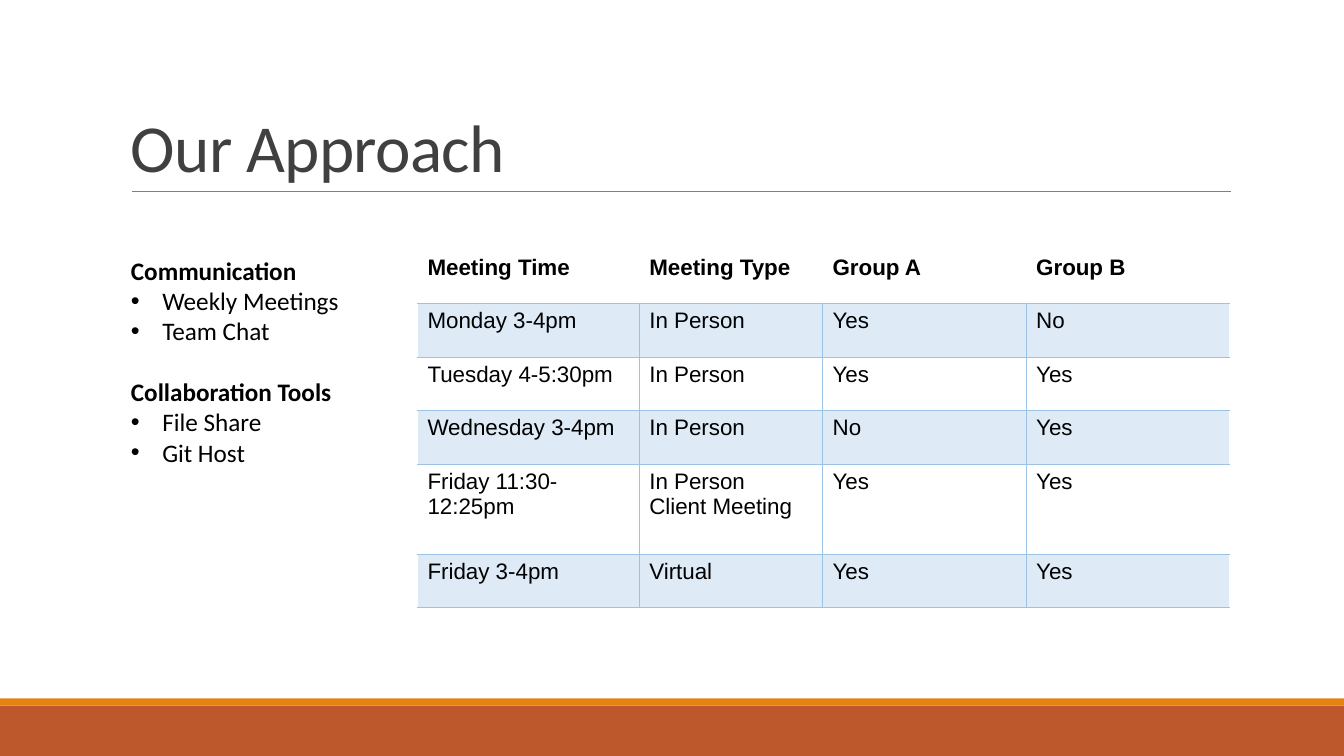
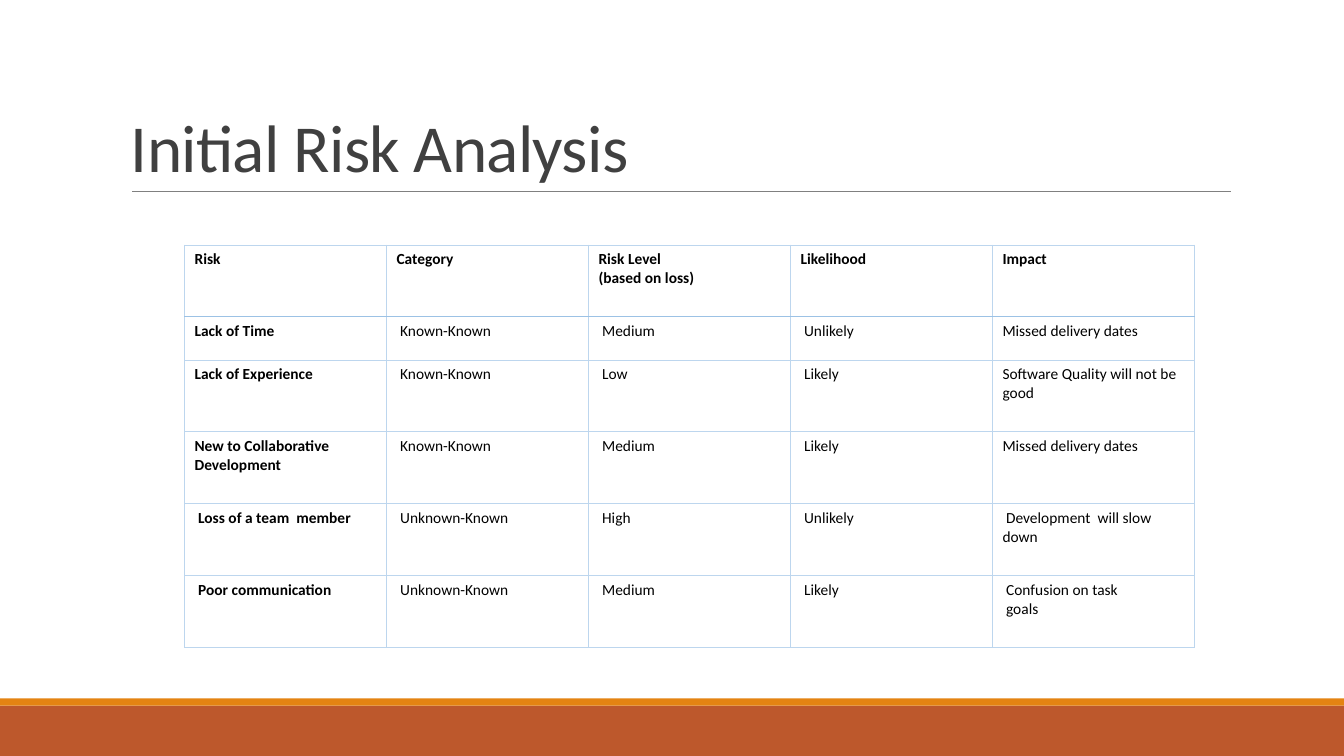
from lxml.etree import SubElement
from pptx import Presentation
from pptx.dml.color import RGBColor
from pptx.enum.shapes import MSO_CONNECTOR as CONN, MSO_SHAPE as SHAPE
from pptx.enum.text import MSO_ANCHOR as ANCHOR
from pptx.oxml.ns import qn
from pptx.util import Cm, Pt


def rgb(value):
    return RGBColor.from_string(value)


def write(tf, text, font="Calibri", size=18, color="000000", bold=False, new=False,
          bullet=False, indent=0, hang=0, before=0, leading=None, tracking=None):
    for i, line in enumerate(text.split("\n")):
        p = tf.add_paragraph() if new or i else tf.paragraphs[0]
        p.space_before = Pt(before)
        if leading:
            p.line_spacing = leading
        pPr = p._p.get_or_add_pPr()
        pPr.set("marL", str(Cm(hang)))
        pPr.set("indent", str(Cm(indent - hang)))
        if bullet:
            SubElement(pPr, qn("a:buFont"), typeface="Arial")
            SubElement(pPr, qn("a:buChar"), char="•")
        r = p.add_run()
        r.text = line
        r.font.name, r.font.size, r.font.bold = font, Pt(size), bold
        r.font.color.rgb = rgb(color)
        if tracking:
            r._r.get_or_add_rPr().set("spc", str(round(tracking * 100)))


def border(cell, sides):
    tcPr = cell._tc.get_or_add_tcPr()
    for side in "LRTB":
        if side in sides:
            color, width = sides[side]
            ln = SubElement(tcPr, qn("a:ln" + side), w=str(Pt(width)))
            SubElement(SubElement(ln, qn("a:solidFill")), qn("a:srgbClr"), val=color)


class Deck:
    """Holds the shared style and the slide being built."""

    WIDTH, HEIGHT = 33.87, 19.05
    RUST, ORANGE, RULE, TITLE = "BD582C", "E48312", "808080", "404040"
    BLUE, PALE, BAND, WHITE = "9CC2E5", "BDD6EE", "DEEAF6", "FFFFFF"

    def __init__(self):
        self.prs = Presentation()
        self.prs.slide_width, self.prs.slide_height = Cm(self.WIDTH), Cm(self.HEIGHT)

    def slide(self, title):
        self.s = self.prs.slides.add_slide(self.prs.slide_layouts[6])
        self.bar(17.78, 1.27, self.RUST)
        self.bar(17.6, 0.18, self.ORANGE)
        self.rule(3.33, 31.01, 4.83)
        tf = self.text(3.05, 0.79, 27.94, 4.04, ANCHOR.BOTTOM)
        write(tf, title, size=48, color=self.TITLE, leading=0.85, tracking=-0.5)

    def bar(self, y, h, color):
        sp = self.s.shapes.add_shape(SHAPE.RECTANGLE, 0, Cm(y), Cm(self.WIDTH), Cm(h))
        sp.shadow.inherit = False
        sp.fill.solid()
        sp.fill.fore_color.rgb = rgb(color)
        sp.line.fill.background()

    def rule(self, x1, x2, y):
        ln = self.s.shapes.add_connector(CONN.STRAIGHT, Cm(x1), Cm(y), Cm(x2), Cm(y))
        ln.line.color.rgb = rgb(self.RULE)
        ln.line.width = Pt(0.5)
        SubElement(ln._element.spPr, qn("a:effectLst"))

    def text(self, x, y, w, h, anchor=ANCHOR.TOP):
        tf = self.s.shapes.add_textbox(Cm(x), Cm(y), Cm(w), Cm(h)).text_frame
        tf.word_wrap = True
        tf.vertical_anchor = anchor
        return tf

    def table(self, x, y, cols, heights, rows, style):
        frame = self.s.shapes.add_table(len(rows), len(cols), Cm(x), Cm(y),
                                        Cm(sum(cols)), Cm(sum(heights)))
        tbl = frame.table
        tbl.first_row = tbl.horz_banding = False
        for col, w in zip(tbl.columns, cols):
            col.width = Cm(w)
        for r, (row, h) in enumerate(zip(rows, heights)):
            tbl.rows[r].height = Cm(h)
            for c, text in enumerate(row):
                cell = tbl.cell(r, c)
                fill, sides, fmt = style(r, c)
                border(cell, sides)
                cell.fill.solid()
                cell.fill.fore_color.rgb = rgb(fill)
                write(cell.text_frame, text, **fmt)


def meeting_style(r, c):
    thin, thick = (Deck.BLUE, 0.75), (Deck.BLUE, 1.5)
    sides = {"B": thin if r else thick}
    if r:
        sides["T"] = thick if r == 1 else thin
        if c > 0:
            sides["L"] = thin
        if c < 3:
            sides["R"] = thin
    fill = Deck.BAND if r % 2 else Deck.WHITE
    return fill, sides, dict(font="Arial", size=16, bold=r == 0)


def risk_style(r, c):
    thin, thick = (Deck.PALE, 0.6), (Deck.BLUE, 1.2)
    sides = dict.fromkeys("LRTB", thin)
    if r < 2:
        sides["T" if r else "B"] = thick
    indented = r > 3 or (r > 0 and 0 < c < 4)
    fmt = dict(size=11, bold=r == 0 or c == 0, indent=0.09 if indented else 0)
    return Deck.WHITE, sides, fmt


def approach(deck):
    deck.slide("Our Approach")
    deck.table(10.52, 6.3, [5.59, 4.62, 5.13, 5.13], [1.35] * 4 + [2.26, 1.35], [
        ["Meeting Time", "Meeting Type", "Group A", "Group B"],
        ["Monday 3-4pm", "In Person", "Yes", "No"],
        ["Tuesday 4-5:30pm", "In Person", "Yes", "Yes"],
        ["Wednesday 3-4pm", "In Person", "No", "Yes"],
        ["Friday 11:30-12:25pm", "In Person\nClient Meeting", "Yes", "Yes"],
        ["Friday 3-4pm", "Virtual", "Yes", "Yes"],
    ], meeting_style)
    tf = deck.text(3.05, 6.3, 6.55, 5.64)
    groups = [("Communication", "Weekly Meetings\nTeam Chat"),
              ("Collaboration Tools", "File Share\nGit Host")]
    for i, (heading, items) in enumerate(groups):
        write(tf, heading, bold=True, new=i > 0, before=22 * i)
        write(tf, items, new=True, bullet=True, hang=0.79)


def risks(deck):
    deck.slide("Initial Risk Analysis")
    deck.table(4.65, 6.17, [5.09] * 5, [1.81, 1.09] + [1.81] * 4, [
        ["Risk", "Category", "Risk Level\n(based on loss)", "Likelihood", "Impact"],
        ["Lack of Time", "Known-Known", "Medium", "Unlikely", "Missed delivery dates"],
        ["Lack of Experience", "Known-Known", "Low", "Likely",
         "Software Quality will not be good"],
        ["New to Collaborative Development", "Known-Known", "Medium", "Likely",
         "Missed delivery dates"],
        ["Loss of a team  member", "Unknown-Known", "High", "Unlikely",
         "Development  will slow down"],
        ["Poor communication", "Unknown-Known", "Medium", "Likely",
         "Confusion on task\ngoals"],
    ], risk_style)


def main():
    deck = Deck()
    approach(deck)
    risks(deck)
    deck.prs.save("out.pptx")


if __name__ == "__main__":
    main()
